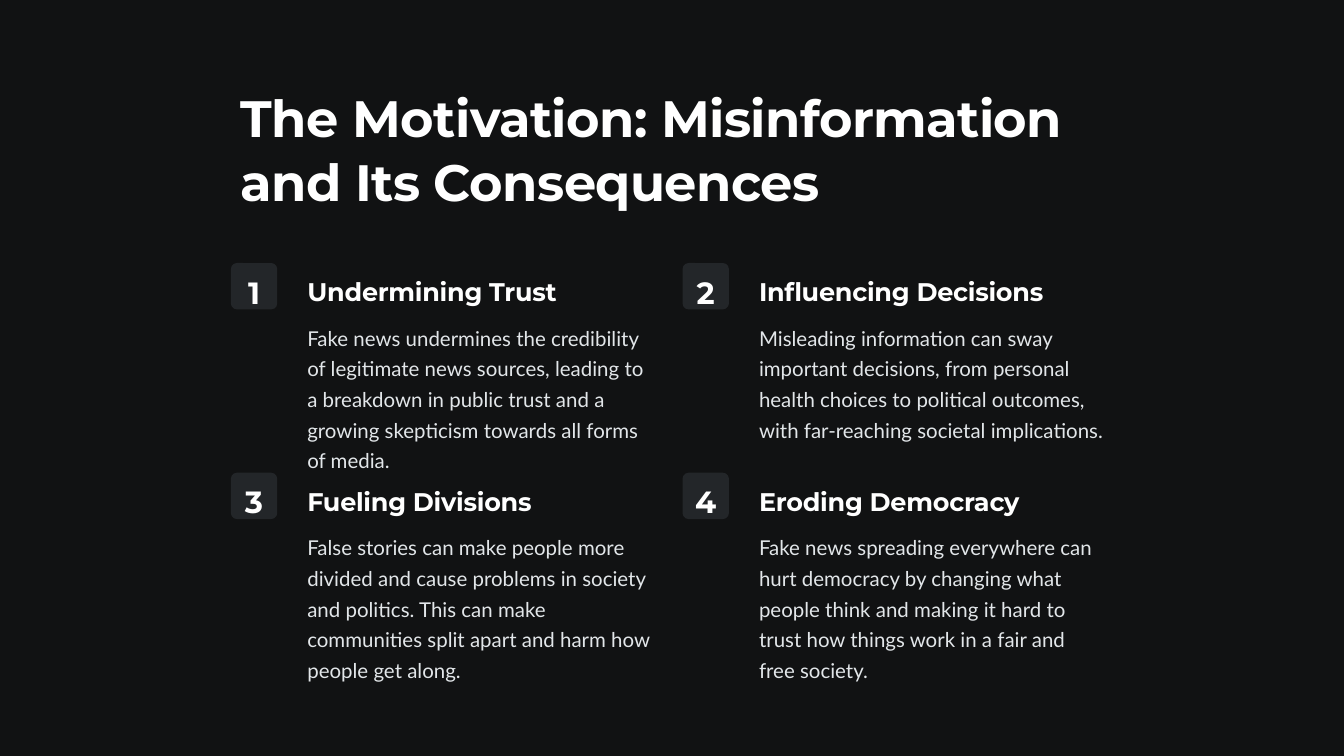
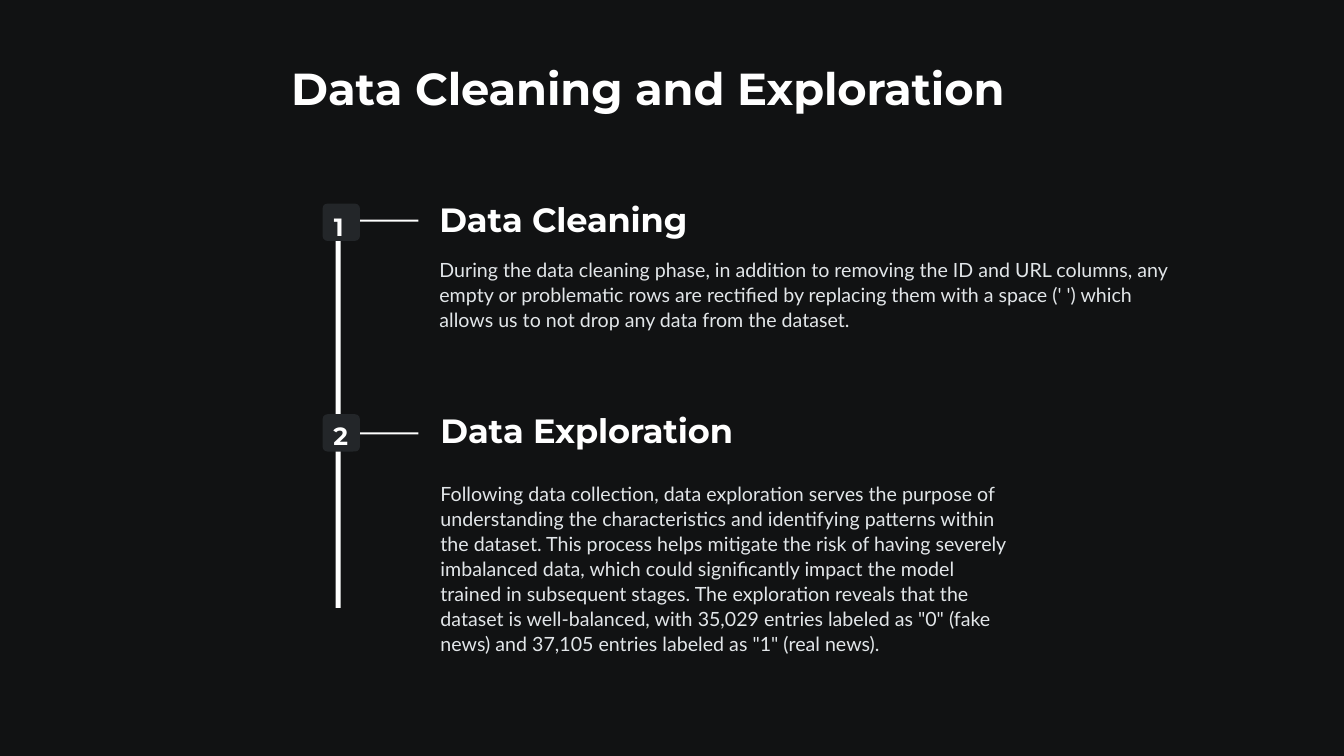
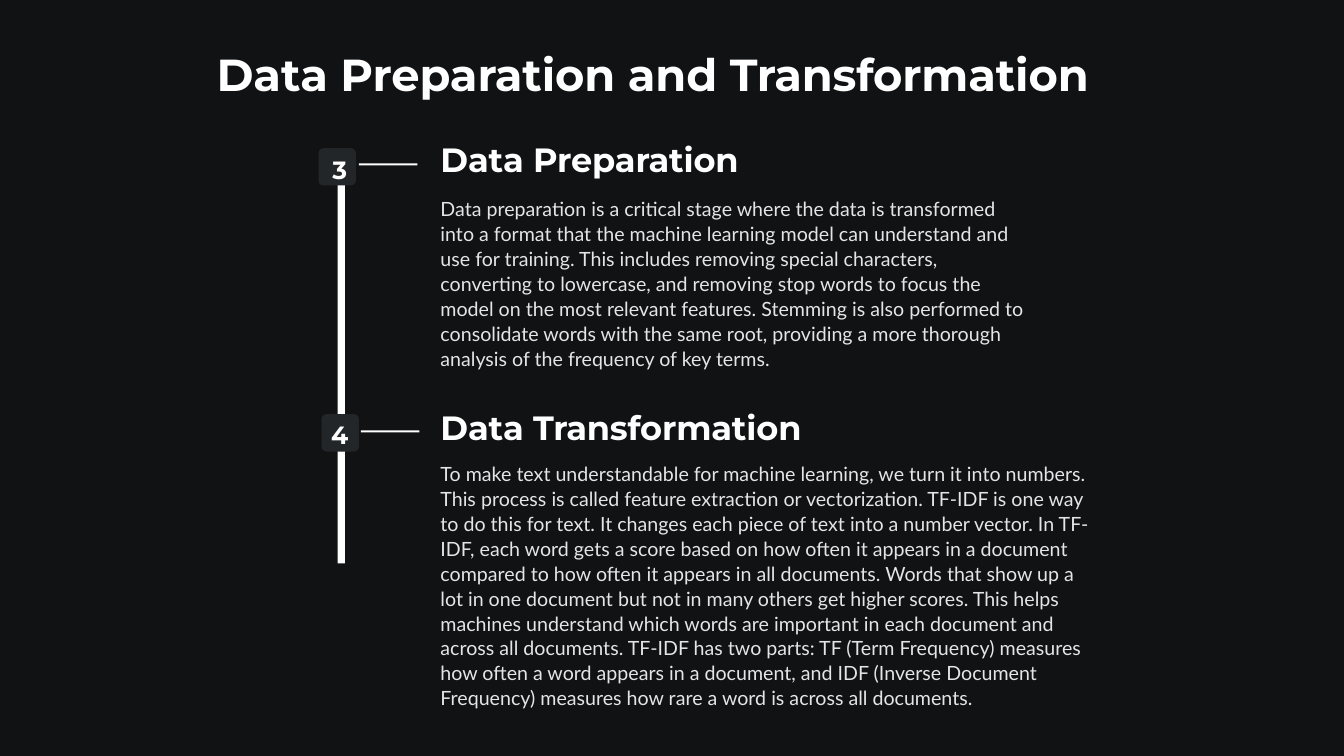
from dataclasses import dataclass

from pptx import Presentation
from pptx.dml.color import RGBColor
from pptx.enum.shapes import MSO_SHAPE as Shape
from pptx.enum.text import PP_ALIGN as Align
from pptx.presentation import Presentation as Deck
from pptx.slide import Slide
from pptx.util import Inches, Pt

COLORS = {"night": "111213", "badge": "232629", "white": "FFFFFF", "body": "E2E6E9"}


@dataclass(frozen=True)
class TextStyle:
    size: float
    leading: float
    tracking: int = 0  # hundredths of a point
    font: str = "Montserrat"
    color: str = "white"
    bold: bool = True
    align: Align | None = None
    side_margin: float = 0.1


BIG_TITLE = TextStyle(36.5, 45.6, -40)
TITLE = TextStyle(32, 37, -10)
CARD_HEADING = TextStyle(18.2, 22.8, -20)
STEP_HEADING = TextStyle(24, 18.5, -10)
CARD_NUMBER = TextStyle(21.9, 27.3, -20, align=Align.CENTER, side_margin=0)
STEP_NUMBER = TextStyle(17.8, 22.2, -20, align=Align.CENTER, side_margin=0)
CARD_BODY = TextStyle(14.6, 21.9, font="Lato", color="body", bold=False)
STEP_BODY = TextStyle(14, 17.8, font="Lato", color="body", bold=False)


@dataclass(frozen=True)
class Area:
    left: float
    top: float
    width: float
    height: float

    def lengths(self) -> tuple[Inches, Inches, Inches, Inches]:
        return Inches(self.left), Inches(self.top), Inches(self.width), Inches(self.height)


@dataclass(frozen=True)
class Card:
    heading: str
    body: str
    body_height: float


@dataclass(frozen=True)
class Step:
    number: str
    heading: str
    body: str
    badge: tuple[float, float]
    number_at: tuple[float, float]
    tick: tuple[float, float]
    heading_at: tuple[float, float]
    body_area: Area


# Shared drawing
def add_text(page: Slide, area: Area, text: str, style: TextStyle) -> None:
    box = page.shapes.add_textbox(*area.lengths())
    frame = box.text_frame
    frame.word_wrap = True
    frame.margin_left = frame.margin_right = Inches(style.side_margin)
    para = frame.paragraphs[0]
    para.text = text
    para.alignment = style.align
    para.line_spacing = Pt(style.leading)
    para.font.name = style.font
    para.font.size = Pt(style.size)
    para.font.bold = style.bold
    para.font.color.rgb = RGBColor.from_string(COLORS[style.color])
    if style.tracking:
        para._p.get_or_add_pPr().get_or_add_defRPr().set("spc", str(style.tracking))


def add_block(page: Slide, area: Area, color: str, kind: Shape = Shape.RECTANGLE) -> None:
    block = page.shapes.add_shape(kind, *area.lengths())
    block.shadow.inherit = False
    block.fill.solid()
    block.fill.fore_color.rgb = RGBColor.from_string(COLORS[color])
    block.line.fill.background()
    if kind == Shape.ROUNDED_RECTANGLE:
        block.adjustments[0] = 0.13


def add_badge(page: Slide, left: float, top: float, size: float) -> None:
    add_block(page, Area(left, top, size, size), "badge", Shape.ROUNDED_RECTANGLE)


def add_page(deck: Deck, title: str, area: Area, style: TextStyle) -> Slide:
    page = deck.slides.add_slide(deck.slide_layouts[6])
    add_text(page, area, title, style)
    return page


# Numbered cards in a two-column grid
def add_cards(page: Slide, cards: list[Card]) -> None:
    badge = 0.46
    for index, card in enumerate(cards):
        row, column = divmod(index, 2)
        left, top = 2.29 + 4.48 * column, 2.61 + 2.08 * row
        text_left = left + 0.66
        add_badge(page, left, top, badge)
        add_text(page, Area(left, top + 0.04, badge, 0.38), str(index + 1), CARD_NUMBER)
        add_text(page, Area(text_left, top + 0.07, 3.2, 0.32), card.heading, CARD_HEADING)
        add_text(page, Area(text_left, top + 0.51, 3.63, card.body_height), card.body, CARD_BODY)


# Vertical timeline of numbered steps
def add_timeline(page: Slide, spine: Area, steps: list[Step]) -> None:
    add_block(page, spine, "white")
    for step in steps:
        add_block(page, Area(*step.tick, 0.58, 0.02), "white")
        add_badge(page, *step.badge, 0.37)
        add_text(page, Area(*step.number_at, 0.2, 0.31), step.number, STEP_NUMBER)
        add_text(page, Area(*step.heading_at, 4, 0.26), step.heading, STEP_HEADING)
        add_text(page, step.body_area, step.body, STEP_BODY)


CARDS = [
    Card("Undermining Trust",
         "Fake news undermines the credibility of legitimate news sources, leading to a breakdown "
         "in public trust and a growing skepticism towards all forms of media.", 1.21),
    Card("Influencing Decisions",
         "Misleading information can sway important decisions, from personal health choices to "
         "political outcomes, with far-reaching societal implications.", 1.21),
    Card("Fueling Divisions",
         "False stories can make people more divided and cause problems in society and politics. "
         "This can make communities split apart and harm how people get along.", 1.52),
    Card("Eroding Democracy",
         "Fake news spreading everywhere can hurt democracy by changing what people think and "
         "making it hard to trust how things work in a fair and free society.", 1.52),
]

CLEANING_STEPS = [
    Step("1", "Data Cleaning",
         "During the data cleaning phase, in addition to removing the ID and URL columns, any empty "
         "or problematic rows are rectified by replacing them with a space (' ') which allows us to "
         "not drop any data from the dataset.",
         badge=(3.2, 2.02), number_at=(3.26, 2.04), tick=(3.57, 2.18),
         heading_at=(4.26, 2.07), body_area=Area(4.26, 2.5, 7.64, 2.5)),
    Step("2", "Data Exploration",
         "Following data collection, data exploration serves the purpose of understanding the "
         "characteristics and identifying patterns within the dataset. This process helps mitigate "
         "the risk of having severely imbalanced data, which could significantly impact the model "
         "trained in subsequent stages. The exploration reveals that the dataset is well-balanced, "
         "with 35,029 entries labeled as \"0\" (fake news) and 37,105 entries labeled as \"1\" "
         "(real news).",
         badge=(3.2, 4.11), number_at=(3.28, 4.11), tick=(3.57, 4.29),
         heading_at=(4.27, 4.16), body_area=Area(4.27, 4.72, 5.95, 1.48)),
]

PREPARATION_STEPS = [
    Step("3", "Data Preparation",
         "Data preparation is a critical stage where the data is transformed into a format that the "
         "machine learning model can understand and use for training. This includes removing special "
         "characters, converting to lowercase, and removing stop words to focus the model on the most "
         "relevant features. Stemming is also performed to consolidate words with the same root, "
         "providing a more thorough analysis of the frequency of key terms.",
         badge=(3.16, 1.47), number_at=(3.27, 1.47), tick=(3.56, 1.62),
         heading_at=(4.27, 1.47), body_area=Area(4.27, 1.89, 6.08, 1.48)),
    Step("4", "Data Transformation",
         "To make text understandable for machine learning, we turn it into numbers. This process is "
         "called feature extraction or vectorization. TF-IDF is one way to do this for text. It "
         "changes each piece of text into a number vector. In TF-IDF, each word gets a score based on "
         "how often it appears in a document compared to how often it appears in all documents. Words "
         "that show up a lot in one document but not in many others get higher scores. This helps "
         "machines understand which words are important in each document and across all documents. "
         "TF-IDF has two parts: TF (Term Frequency) measures how often a word appears in a document, "
         "and IDF (Inverse Document Frequency) measures how rare a word is across all documents.",
         badge=(3.19, 4.11), number_at=(3.27, 4.1), tick=(3.58, 4.27),
         heading_at=(4.27, 4.13), body_area=Area(4.27, 4.52, 6.7, 1.23)),
]


def main() -> None:
    deck = Presentation()
    deck.slide_width, deck.slide_height = Inches(13.33), Inches(7.5)
    backdrop = deck.slide_master.background.fill
    backdrop.solid()
    backdrop.fore_color.rgb = RGBColor.from_string(COLORS["night"])

    # Motivation
    page = add_page(deck, "The Motivation: Misinformation and Its Consequences",
                    Area(2.29, 0.78, 8.74, 1.27), BIG_TITLE)
    add_cards(page, CARDS)

    # Cleaning and exploration
    page = add_page(deck, "Data Cleaning and Exploration", Area(2.79, 0.57, 7.5, 0.51), TITLE)
    add_timeline(page, Area(3.33, 2.04, 0.05, 3.99), CLEANING_STEPS)

    # Preparation and transformation
    page = add_page(deck, "Data Preparation and Transformation", Area(2.05, 0.43, 9, 0.51), TITLE)
    add_timeline(page, Area(3.35, 1.47, 0.07, 4.12), PREPARATION_STEPS)

    deck.save("out.pptx")


if __name__ == "__main__":
    main()
